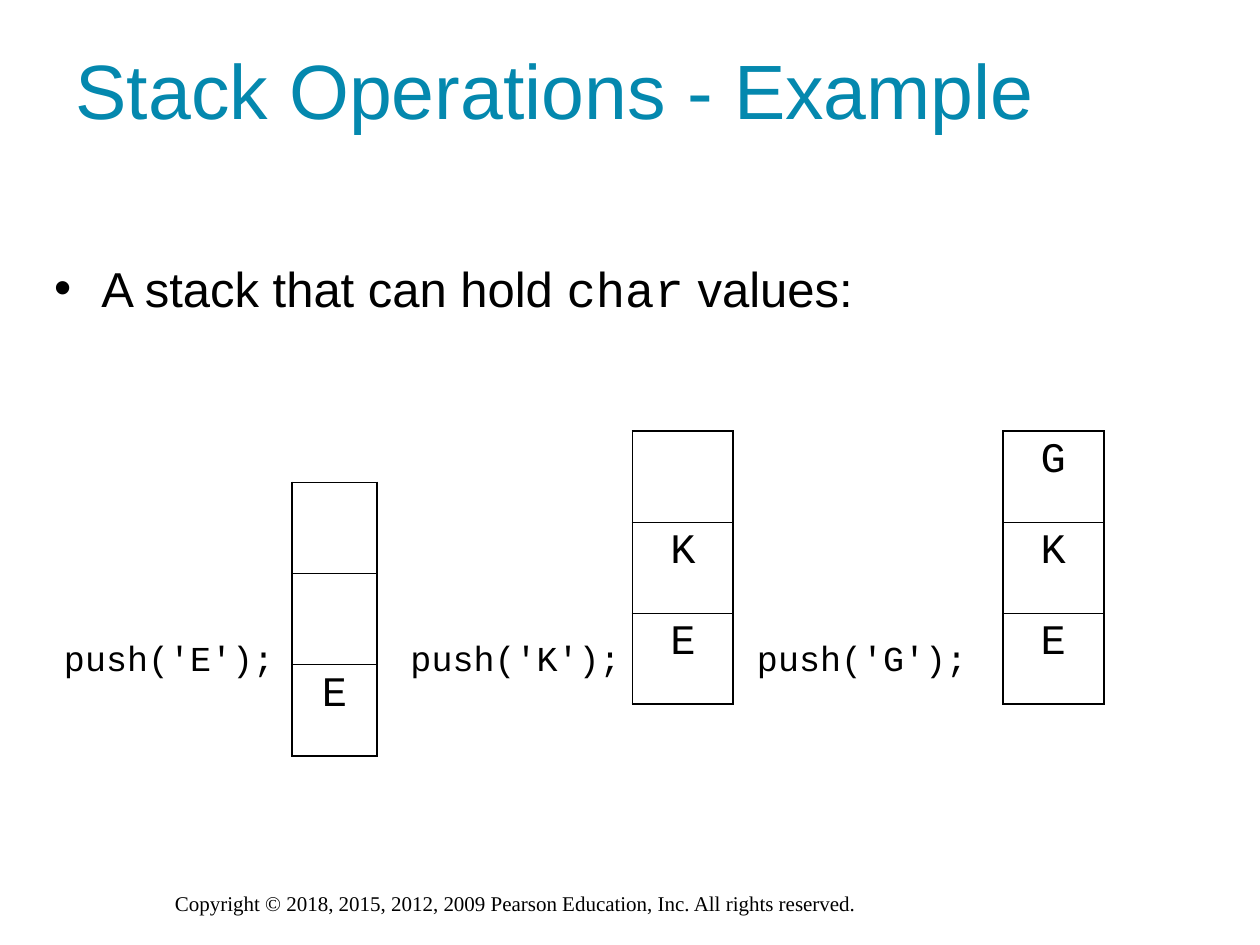
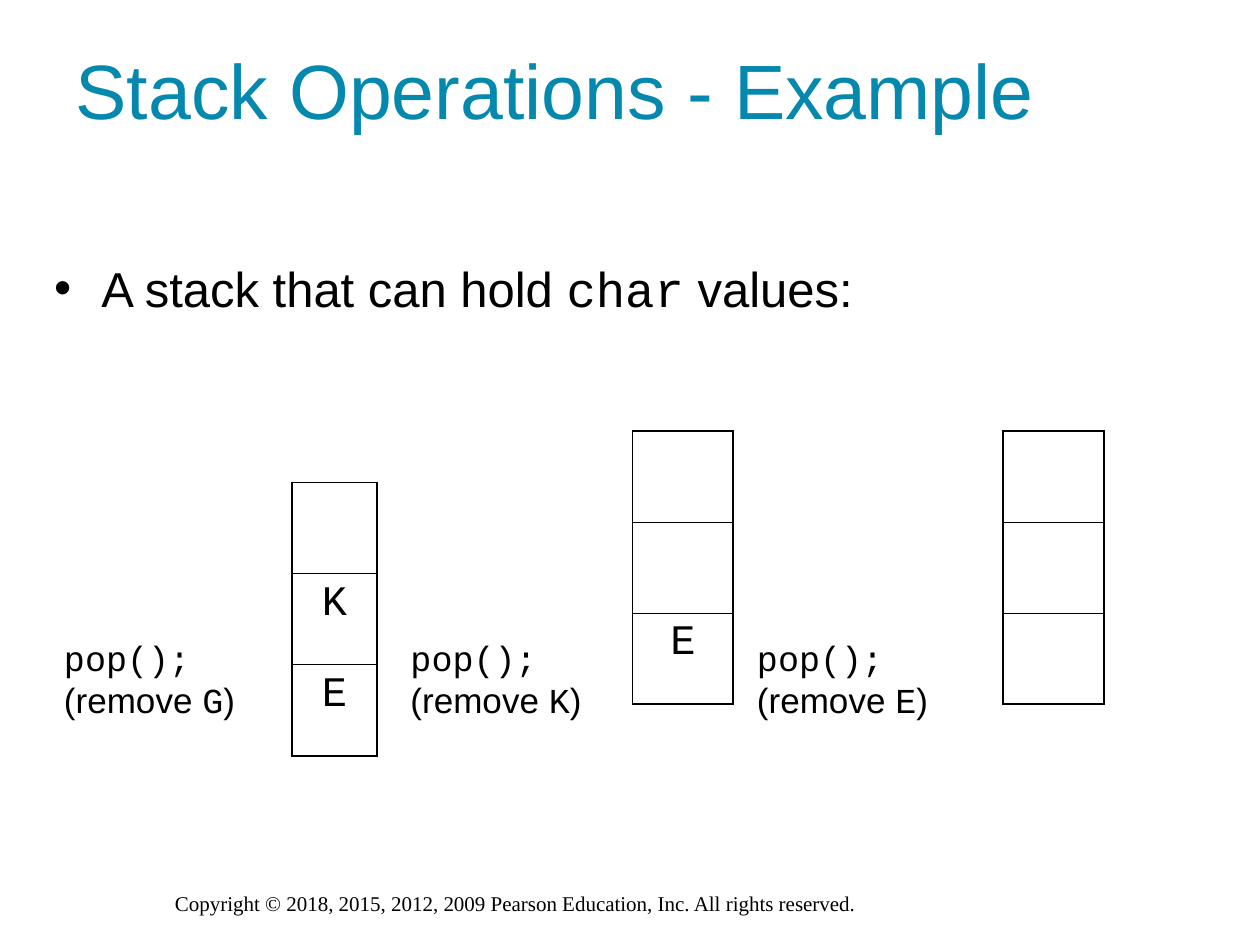
from lxml.etree import SubElement
from pptx import Presentation
from pptx.dml.color import RGBColor
from pptx.enum.text import MSO_ANCHOR, MSO_AUTO_SIZE, PP_ALIGN
from pptx.oxml import parse_xml
from pptx.oxml.ns import nsdecls, qn
from pptx.util import Inches, Pt

TEAL = RGBColor(0x04, 0x88, 0xAE)
BLACK = RGBColor(0, 0, 0)
SANS, CODE, SERIF = "Arial", "Courier New", "Times New Roman"

LABEL_LEFT, LABEL_STEP, LABEL_TOP = 0.41, 2.75, 5
CELL_HEIGHT = 2.17 / 3
THICK, THIN = Pt(1.08), Pt(0.45)
STACK_PLACES = [(2.32, 3.83, 0.67), (5.02, 3.42, 0.8), (7.96, 3.42, 0.8)]

PUSHES = [([(f"push('{letter}');", CODE)],) for letter in "EKG"]
POPS = [
    ([("pop();", CODE)], [("(remove ", SANS), (letter, CODE), (")", SANS)])
    for letter in "GKE"
]
OPERATIONS = [
    (PUSHES, 1.87, 0.44, ["E", "KE", "GKE"]),
    (POPS, 1.56, 0.77, ["KE", "E", ""]),
]


def add_runs(paragraph, runs, size, color=BLACK):
    for text, font_name in runs:
        run = paragraph.add_run()
        run.text = text
        run.font.name = font_name
        run.font.size = Pt(size)
        run.font.color.rgb = color


def place(shape, left, top, width, height):
    shape.left, shape.top = Inches(left), Inches(top)
    shape.width, shape.height = Inches(width), Inches(height)


presentation = Presentation()
presentation.slide_width, presentation.slide_height = Inches(10), Inches(7.5)
layout = presentation.slide_layouts[1]

for labels, label_width, label_height, stacks in OPERATIONS:
    slide = presentation.slides.add_slide(layout)

    title = slide.shapes.title
    place(title, 0.5, 0.08, 8.33, 1.25)
    title.text_frame.auto_size = MSO_AUTO_SIZE.NONE
    title.text_frame.vertical_anchor = MSO_ANCHOR.MIDDLE
    paragraph = title.text_frame.paragraphs[0]
    paragraph.alignment = PP_ALIGN.LEFT
    add_runs(paragraph, [("Stack Operations - Example", SANS)], 44, TEAL)

    body = slide.placeholders[1]
    place(body, 0.33, 2, 8.98, 5)
    body.text_frame.auto_size = MSO_AUTO_SIZE.NONE
    paragraph = body.text_frame.paragraphs[0]
    paragraph.space_before = Pt(0)
    add_runs(paragraph, [("A stack that can hold ", SANS), ("char", CODE), (" values:", SANS)], 28)

    for (left, top, width), letters in zip(STACK_PLACES, stacks):
        frame = slide.shapes.add_table(
            3, 1, Inches(left), Inches(top), Inches(width), Inches(3 * CELL_HEIGHT)
        )
        table = frame.table
        table.first_row = table.horz_banding = False
        for row, letter in enumerate(letters.rjust(3)):
            cell = table.cell(row, 0)
            cell.fill.background()
            paragraph = cell.text_frame.paragraphs[0]
            paragraph.alignment = PP_ALIGN.CENTER
            if letter.strip():
                add_runs(paragraph, [(letter, CODE)], 24)
            borders = {
                "lnL": THICK,
                "lnR": THICK,
                "lnT": THICK if row == 0 else THIN,
                "lnB": THICK if row == 2 else THIN,
            }
            properties = cell._tc.get_or_add_tcPr()
            for position, (side, weight) in enumerate(borders.items()):
                line = parse_xml(f'<a:{side} {nsdecls("a")} w="{weight}"/>')
                fill = SubElement(line, qn("a:solidFill"))
                SubElement(fill, qn("a:srgbClr"), val=str(BLACK))
                properties.insert(position, line)

    for column, lines in enumerate(labels):
        label = slide.shapes.add_textbox(
            Inches(LABEL_LEFT + column * LABEL_STEP), Inches(LABEL_TOP),
            Inches(label_width), Inches(label_height),
        )
        text_frame = label.text_frame
        text_frame.word_wrap = False
        text_frame.auto_size = MSO_AUTO_SIZE.SHAPE_TO_FIT_TEXT
        for number, runs in enumerate(lines):
            paragraph = text_frame.add_paragraph() if number else text_frame.paragraphs[0]
            add_runs(paragraph, runs, 20)

footer = slide.shapes.add_textbox(Inches(1.29), Inches(7.02), Inches(7.42), Inches(0.3))
footer.text_frame.word_wrap = True
add_runs(
    footer.text_frame.paragraphs[0],
    [("Copyright © 2018, 2015, 2012, 2009 Pearson Education, Inc. All rights reserved.", SERIF)],
    12,
)
footer.element.nvSpPr.cNvPr.set("id", "20")
presentation.slide_master.element.cSld.spTree.append(footer.element)

presentation.save("out.pptx")
